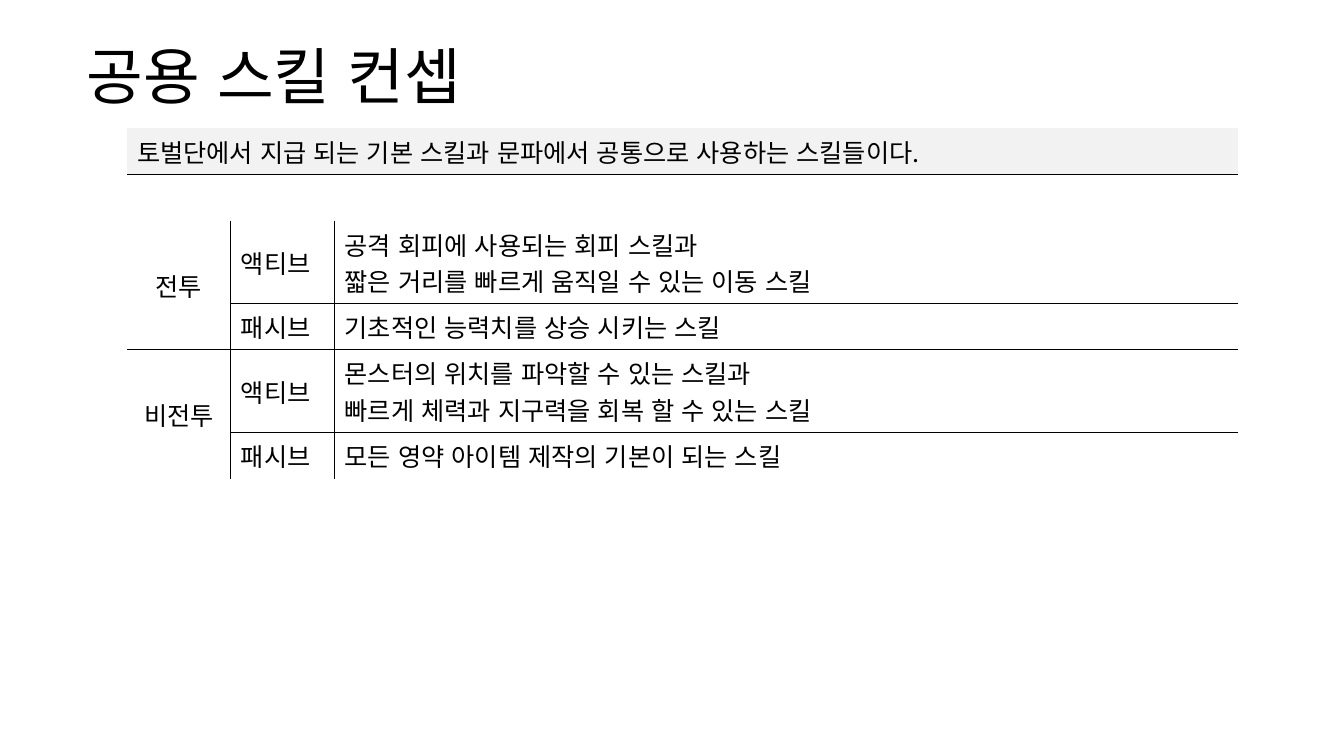
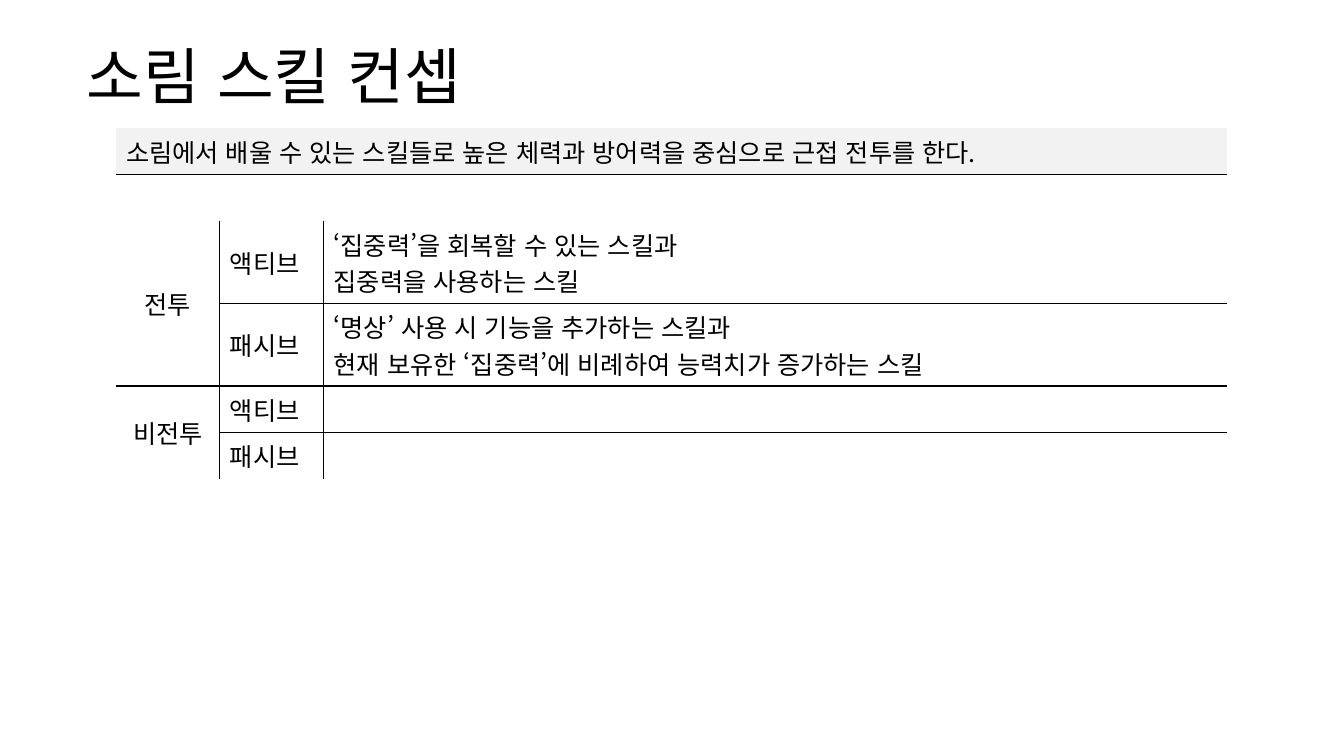
"""Build two slides that outline the skill concepts of a game."""
from lxml.etree import SubElement
from pptx import Presentation
from pptx.dml.color import RGBColor
from pptx.enum.lang import MSO_LANGUAGE_ID as Lang
from pptx.enum.text import MSO_ANCHOR as Anchor, PP_ALIGN as Align
from pptx.oxml.ns import qn
from pptx.util import Inches, Pt

FONT = "Noto Sans CJK KR"
BLACK = RGBColor(0x00, 0x00, 0x00)
BAND = RGBColor(0xF2, 0xF2, 0xF2)

CONCEPTS = [
    {
        "title": "공용 스킬 컨셉",
        "left": 1.26,
        "summary": "토벌단에서 지급 되는 기본 스킬과 문파에서 공통으로 사용하는 스킬들이다.",
        "skills": [
            ("전투", "액티브", "공격 회피에 사용되는 회피 스킬과\n짧은 거리를 빠르게 움직일 수 있는 이동 스킬"),
            ("", "패시브", "기초적인 능력치를 상승 시키는 스킬"),
            ("비전투", "액티브", "몬스터의 위치를 파악할 수 있는 스킬과\n빠르게 체력과 지구력을 회복 할 수 있는 스킬"),
            ("", "패시브", "모든 영약 아이템 제작의 기본이 되는 스킬"),
        ],
    },
    {
        "title": "소림 스킬 컨셉",
        "left": 1.15,
        "summary": "소림에서 배울 수 있는 스킬들로 높은 체력과 방어력을 중심으로 근접 전투를 한다.",
        "skills": [
            ("전투", "액티브", "‘집중력’을 회복할 수 있는 스킬과\n집중력을 사용하는 스킬"),
            ("", "패시브", "‘명상’ 사용 시 기능을 추가하는 스킬과\n현재 보유한 ‘집중력’에 비례하여 능력치가 증가하는 스킬"),
            ("비전투", "액티브", ""),
            ("", "패시브", ""),
        ],
    },
]

COLUMN_WIDTHS = (1.03, 1.03, 8.96)
TABLE_TOP = 1.27
ROW_HEIGHT, EXTRA_LINE = 0.46, 0.36
FIRST_SKILL_ROW = 2
MERGES = [((0, 0), (0, 2)), ((1, 0), (1, 2)), ((2, 0), (3, 0)), ((4, 0), (5, 0))]


def write(frame, text, size=18, align=Align.LEFT, spacing=None):
    lines = text.split("\n") if text else []
    for index, line in enumerate(lines):
        paragraph = frame.paragraphs[0] if index == 0 else frame.add_paragraph()
        paragraph.alignment = align
        if spacing:
            paragraph.line_spacing = spacing
        run = paragraph.add_run()
        run.text = line
        font = run.font
        font.size, font.name, font.language_id = Pt(size), FONT, Lang.KOREAN
        font.color.rgb = BLACK
        SubElement(run._r.get_or_add_rPr(), qn("a:ea"), typeface=FONT)


def line_below(row, column):
    if row < FIRST_SKILL_ROW:
        return row == 0
    return row == 3 or (row < 5 and column > 0)


def line_right(row, column):
    return row >= FIRST_SKILL_ROW and column in (0, 1)


def draw_borders(cell, row, column):
    last_row = row + cell.span_height - 1 if cell.is_merge_origin else row
    sides = {
        "L": line_right(row, column - 1),
        "R": line_right(row, column),
        "T": line_below(row - 1, column),
        "B": line_below(last_row, column),
    }
    properties = cell._tc.get_or_add_tcPr()
    for side, visible in sides.items():
        border = SubElement(properties, qn(f"a:ln{side}"), w=str(Pt(1)))
        if visible:
            fill = SubElement(border, qn("a:solidFill"))
            SubElement(fill, qn("a:srgbClr"), val=str(BLACK))
        else:
            SubElement(border, qn("a:noFill"))


def add_title(slide, title):
    box = slide.shapes.add_textbox(Inches(0.76), Inches(0.32), Inches(11.81), Inches(0.94))
    box.text_frame.word_wrap = True
    box.text_frame.vertical_anchor = Anchor.MIDDLE
    write(box.text_frame, title, size=44, spacing=0.9)


def add_skill_table(slide, left, summary, skills):
    rows = [(summary, "", ""), ("", "", ""), *skills]
    heights = [ROW_HEIGHT + EXTRA_LINE * row[2].count("\n") for row in rows]
    table = slide.shapes.add_table(
        len(rows), len(COLUMN_WIDTHS), Inches(left), Inches(TABLE_TOP),
        Inches(sum(COLUMN_WIDTHS)), Inches(sum(heights)),
    ).table
    table.first_row = table.horz_banding = False
    for column, width in zip(table.columns, COLUMN_WIDTHS):
        column.width = Inches(width)
    for row, height in zip(table.rows, heights):
        row.height = Inches(height)
    for start, end in MERGES:
        table.cell(*start).merge(table.cell(*end))
    for row, texts in enumerate(rows):
        for column, text in enumerate(texts):
            cell = table.cell(row, column)
            cell.vertical_anchor = Anchor.MIDDLE
            draw_borders(cell, row, column)
            if row == 0:
                cell.fill.solid()
                cell.fill.fore_color.rgb = BAND
            else:
                cell.fill.background()
            is_group = row >= FIRST_SKILL_ROW and column == 0
            write(cell.text_frame, text, align=Align.CENTER if is_group else Align.LEFT)


def main():
    deck = Presentation()
    deck.slide_width, deck.slide_height = Inches(13.33), Inches(7.5)
    for concept in CONCEPTS:
        slide = deck.slides.add_slide(deck.slide_layouts[6])
        add_title(slide, concept["title"])
        add_skill_table(slide, concept["left"], concept["summary"], concept["skills"])
    deck.save("out.pptx")


if __name__ == "__main__":
    main()
